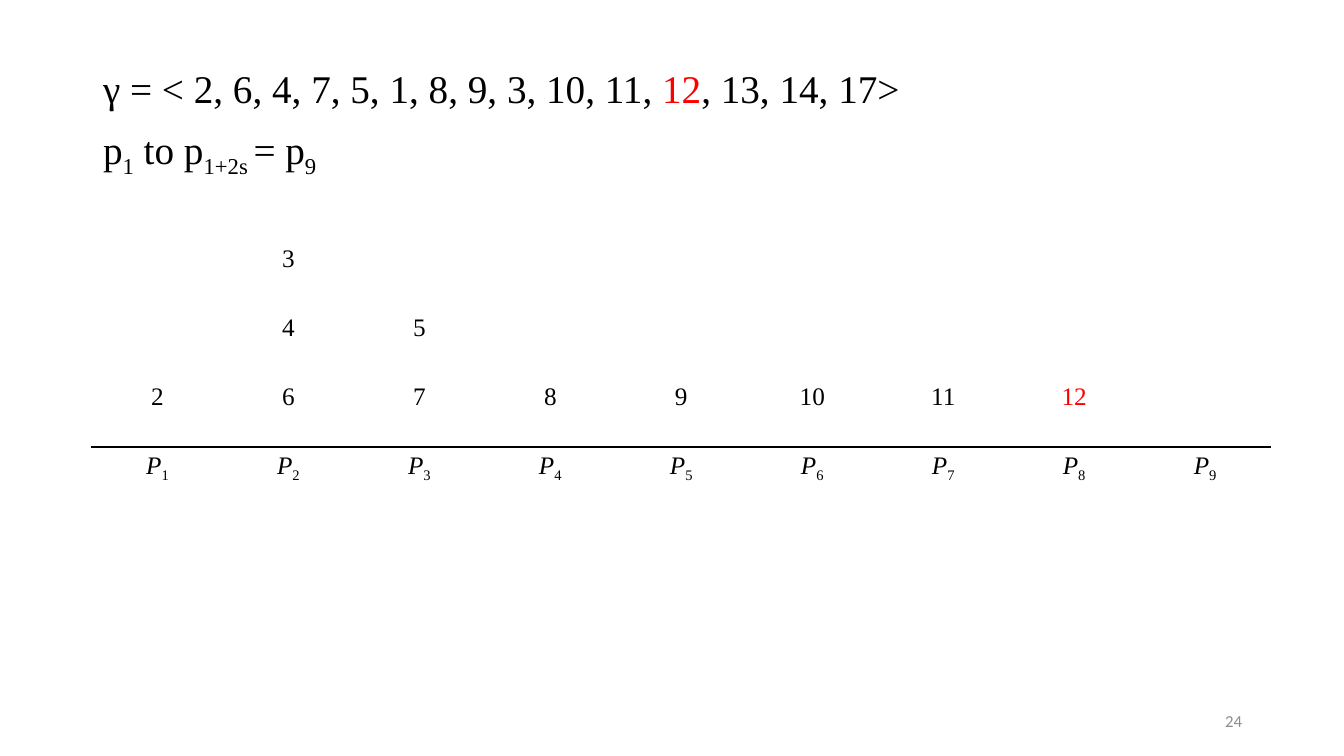
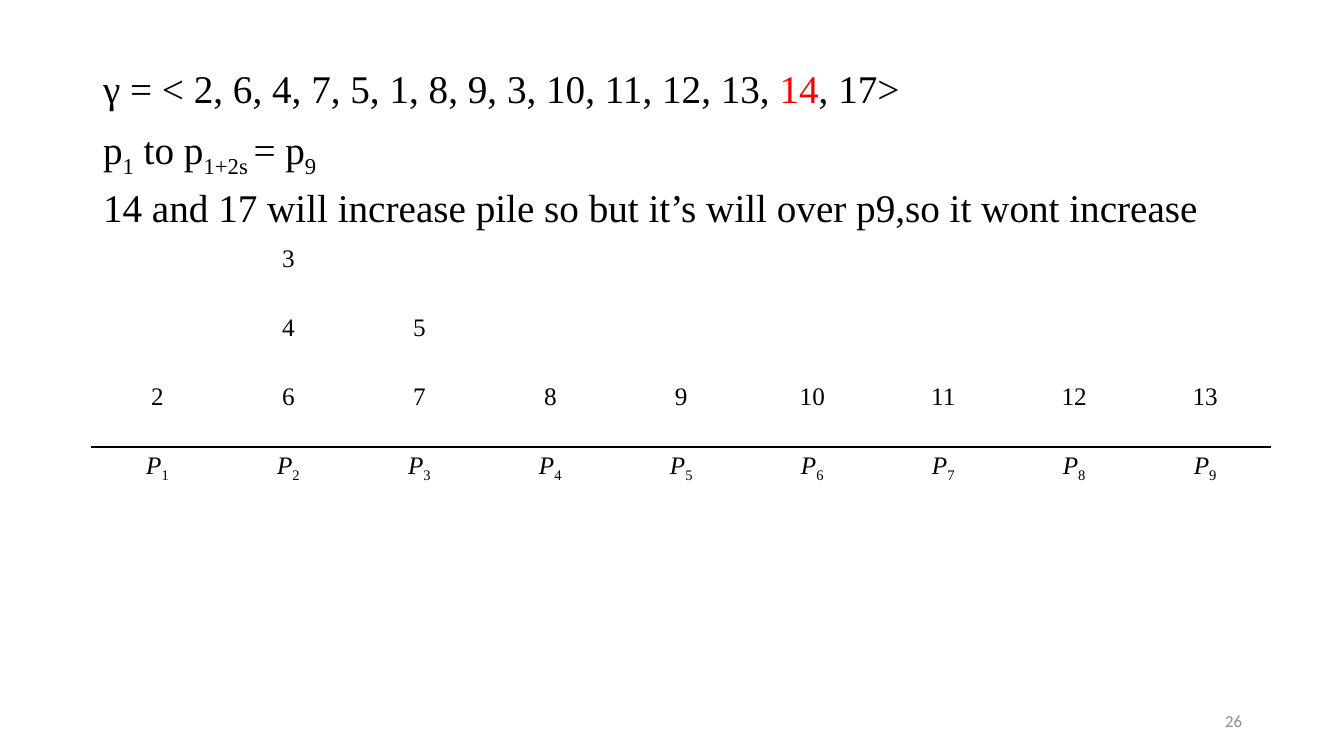
"""Build two slides that show numbers being placed on piles p1 to p9."""
from lxml import etree
from pptx import Presentation
from pptx.dml.color import RGBColor
from pptx.enum.text import MSO_ANCHOR, MSO_AUTO_SIZE, PP_ALIGN
from pptx.oxml.ns import qn
from pptx.util import Pt

CENTER, RIGHT = PP_ALIGN.CENTER, PP_ALIGN.RIGHT
MIDDLE = MSO_ANCHOR.MIDDLE
NO_FIT = MSO_AUTO_SIZE.NONE

SEQUENCE = [2, 6, 4, 7, 5, 1, 8, 9, 3, 10, 11, 12, 13, 14, 17]
RANGE_LINE = [("p", ""), ("1", "sub"), (" to p", ""), ("1+2s ", "sub"), ("= p", ""), ("9", "sub")]
FIRST_PILES = [[2], [6, 4, 3], [7, 5], [8], [9], [10], [11], [12]]
SLIDES = [
    {"number": "24", "current": 12, "piles": FIRST_PILES + [[]], "notice": None},
    {"number": "26", "current": 14, "piles": FIRST_PILES + [[13]],
     "notice": "14 and 17 will increase pile so but it’s will over p9,so it wont increase"},
]

SCALE = 914400 / 100.8
SLIDE_SIZE = (1344, 756)
BODY_AREA = (93, 65, 1159, 617)
NUMBER_AREA = (950, 701, 302, 40)
TABLE_CORNER = (92, 240)
COLUMN_WIDTH, ROW_HEIGHT = 131, 69
STACK_ROWS = 3

BLACK, WHITE, RED, GREY = "000000", "FFFFFF", "FF0000", "8C8C8C"
BODY_FONT = {"name": "Times New Roman", "size": Pt(28)}
CELL_FONT = {"name": "Times New Roman", "size": Pt(18)}
NUMBER_FONT = {"name": "Calibri", "size": Pt(12)}
BORDER_TAGS = {"left": "a:lnL", "right": "a:lnR", "top": "a:lnT", "bottom": "a:lnB"}


def px(length):
    return round(length * SCALE)


def rgb(value):
    return RGBColor.from_string(value)


def apply_formats(target, formats):
    for name, value in formats.items():
        setattr(target, name, value)


def write_runs(para, runs, font, color=BLACK):
    for text, style in runs:
        span = para.add_run()
        span.text = text
        apply_formats(span.font, font)
        span.font.color.rgb = rgb(RED if style == "red" else color)
        if style == "italic":
            span.font.italic = True
        if style == "sub":
            span._r.get_or_add_rPr().set("baseline", "-25000")


def number_run(number, current):
    return (str(number), "red" if number == current else "")


def sequence_runs(current):
    place = SEQUENCE.index(current)
    before = "".join(f"{number}, " for number in SEQUENCE[:place])
    after = "".join(f", {number}" for number in SEQUENCE[place + 1:])
    return [(f"γ = < {before}", ""), number_run(current, current), (f"{after}>", "")]


def add_body(page, content):
    title = page.shapes.title
    title._element.getparent().remove(title._element)
    body = page.placeholders[1]
    apply_formats(body, dict(zip(("left", "top", "width", "height"), map(px, BODY_AREA))))
    frame = body.text_frame
    frame.auto_size = NO_FIT
    lines = [sequence_runs(content["current"]), RANGE_LINE]
    if content["notice"]:
        lines.append([(content["notice"], "")])
    for index, runs in enumerate(lines):
        para = frame.add_paragraph() if index else frame.paragraphs[0]
        settings = para._p.get_or_add_pPr()
        settings.set("marL", "0")
        settings.set("indent", "0")
        etree.SubElement(settings, qn("a:buNone"))
        apply_formats(para, {"line_spacing": 0.9, "space_before": Pt(10 if index else 0)})
        write_runs(para, runs, BODY_FONT)


def add_number(page, number):
    frame = page.shapes.add_textbox(*map(px, NUMBER_AREA)).text_frame
    apply_formats(frame, {"word_wrap": True, "vertical_anchor": MIDDLE})
    para = frame.paragraphs[0]
    para.alignment = RIGHT
    write_runs(para, [(number, "")], NUMBER_FONT, GREY)


def set_borders(cell, row):
    colors = {"top": BLACK if row == STACK_ROWS else WHITE,
              "bottom": BLACK if row == STACK_ROWS - 1 else WHITE}
    settings = cell._tc.get_or_add_tcPr()
    for side, tag in BORDER_TAGS.items():
        line = etree.SubElement(settings, qn(tag), w=str(Pt(1)))
        fill = etree.SubElement(line, qn("a:solidFill"))
        etree.SubElement(fill, qn("a:srgbClr"), val=colors.get(side, WHITE))


def add_piles(page, content):
    piles = content["piles"]
    row_count = STACK_ROWS + 1
    table = page.shapes.add_table(
        row_count, len(piles), *map(px, TABLE_CORNER),
        px(COLUMN_WIDTH * len(piles)), px(ROW_HEIGHT * row_count)).table
    apply_formats(table, {"first_row": False, "horz_banding": False})
    for row in table.rows:
        row.height = px(ROW_HEIGHT)
    for column, pile in enumerate(piles):
        table.columns[column].width = px(COLUMN_WIDTH)
        stack = [[number_run(number, content["current"])] for number in reversed(pile)]
        gaps = [[]] * (STACK_ROWS - len(pile))
        label = [("P", "italic"), (str(column + 1), "sub")]
        for row, runs in enumerate(gaps + stack + [label]):
            cell = table.cell(row, column)
            set_borders(cell, row)
            cell.fill.solid()
            cell.fill.fore_color.rgb = rgb(WHITE)
            para = cell.text_frame.paragraphs[0]
            para.alignment = CENTER
            write_runs(para, runs, CELL_FONT)


def main():
    deck = Presentation()
    deck.slide_width, deck.slide_height = map(px, SLIDE_SIZE)
    for content in SLIDES:
        page = deck.slides.add_slide(deck.slide_layouts[1])
        add_body(page, content)
        add_number(page, content["number"])
        add_piles(page, content)
    deck.save("out.pptx")


if __name__ == "__main__":
    main()
